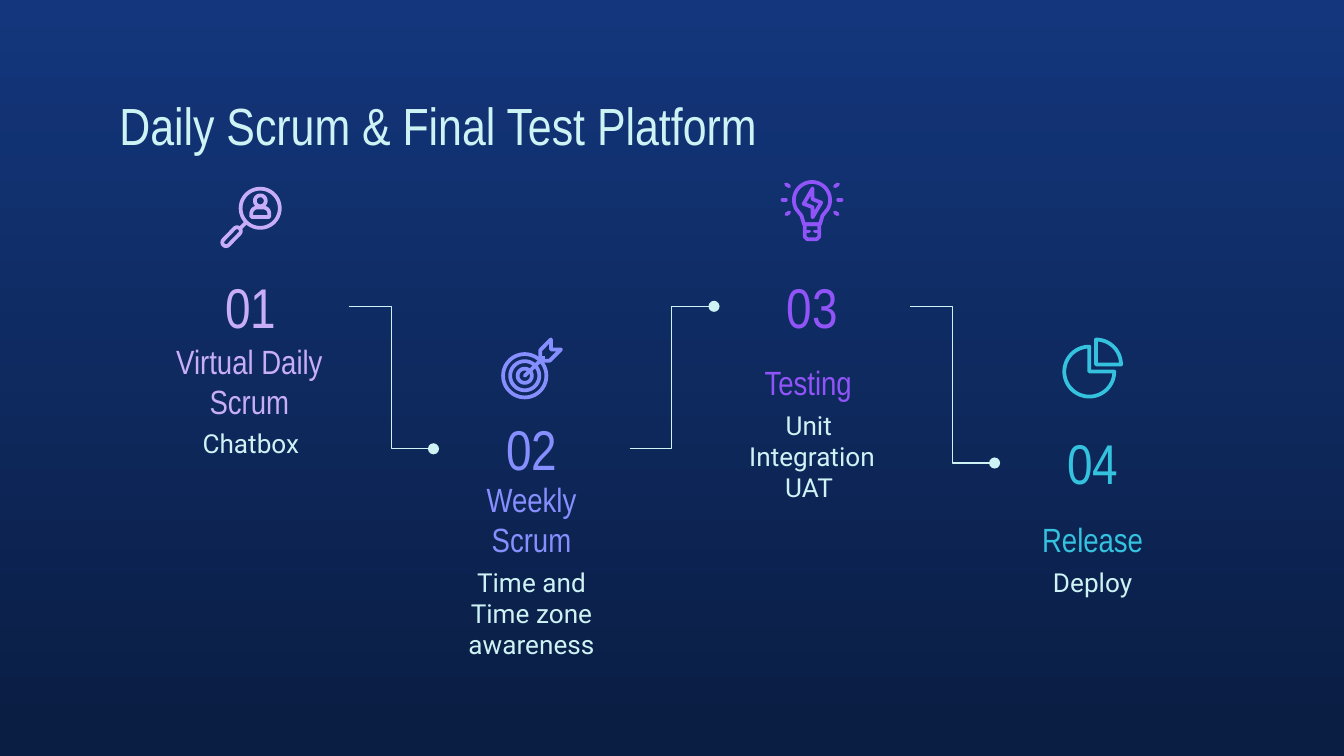
import itertools
import math
from dataclasses import dataclass

import pptx
import pptx.dml.color
import pptx.enum.shapes
import pptx.enum.text
import pptx.oxml
import pptx.oxml.ns
import pptx.util

Pt = pptx.util.Pt
Align = pptx.enum.text.PP_ALIGN
Anchor = pptx.enum.text.MSO_ANCHOR
Point = tuple[float, float]

PALE = "CEF3F5"
DISPLAY, BODY = "Arial Narrow", "Roboto"
COLUMN_LEFT, COLUMN_STEP, COLUMN_WIDTH = 81.9, 150.3, 105.1
INSET = 7.2
ICON_STROKE = 2


@dataclass
class Stroke:
    points: list[Point]
    closed: bool = False


Outline = list[Stroke]


@dataclass
class Step:
    number: str
    heading: str
    details: list[str]
    color: str
    icon_y: float
    number_top: float
    heading_top: float
    icon: list[Outline]
    heading_shift: float = 0


def rgb(color: str) -> pptx.dml.color.RGBColor:
    return pptx.dml.color.RGBColor.from_string(color)


def drawing_element(tag: str, **attributes: str):
    element = pptx.oxml.parse_xml(f'<a:{tag} {pptx.oxml.ns.nsdecls("a")}/>')
    for key, value in attributes.items():
        element.set(key, value)
    return element


def arc(center: Point, radius: float, start: int, end: int) -> list[Point]:
    """Points along an arc; degrees run clockwise from the right."""
    count = max(2, round((end - start) / 6))
    angles = [math.radians(start + (end - start) * i / count) for i in range(count + 1)]
    return [(center[0] + radius * math.cos(a), center[1] + radius * math.sin(a)) for a in angles]


def ring(center: Point, radius: float) -> Stroke:
    return Stroke(arc(center, radius, 0, 360), True)


def sector(center: Point, radius: float, start: int, end: int) -> Stroke:
    return Stroke([center, *arc(center, radius, start, end)], True)


def with_mirror(points: list[Point]) -> list[Stroke]:
    return [Stroke(points), Stroke([(-x, y) for x, y in points])]


def draw_icon(slide, icon: list[Outline], x: float, y: float, color: str) -> None:
    group = slide.shapes.add_group_shape()
    for outline in icon:
        builder = None
        for stroke in outline:
            first, *rest = [(Pt(x + dx), Pt(y + dy)) for dx, dy in stroke.points]
            if builder is None:
                builder = group.shapes.build_freeform(*first, scale=1.0)
            else:
                builder.move_to(*first)
            builder.add_line_segments(rest, close=stroke.closed)
        part = builder.convert_to_shape()
        part.shadow.inherit = False
        part.fill.background()
        part.line.color.rgb = rgb(color)
        part.line.width = Pt(ICON_STROKE)
        line = part.line._get_or_add_ln()
        line.set("cap", "rnd")
        line.append(drawing_element("round"))


def write_text(box, lines: list[str], font: str, size: float, color: str,
               align: Align = Align.CENTER, anchor: Anchor = Anchor.TOP) -> None:
    frame = box.text_frame
    frame.word_wrap = True
    frame.auto_size = pptx.enum.text.MSO_AUTO_SIZE.NONE
    frame.vertical_anchor = anchor
    frame.margin_left = frame.margin_right = frame.margin_top = frame.margin_bottom = Pt(INSET)
    for index, line in enumerate(lines):
        paragraph = frame.add_paragraph() if index else frame.paragraphs[0]
        paragraph.alignment = align
        run = paragraph.add_run()
        run.text = line
        run.font.name = font
        run.font.size = Pt(size)
        run.font.color.rgb = rgb(color)


def draw_step(slide, step: Step, left: float):
    """Draws one step and returns its number box."""
    draw_icon(slide, step.icon, left + COLUMN_WIDTH / 2, step.icon_y, step.color)

    def column_box(top: float, height: float, shift: float = 0):
        return slide.shapes.add_textbox(Pt(left + shift), Pt(top), Pt(COLUMN_WIDTH), Pt(height))

    write_text(column_box(step.heading_top, 37.4, step.heading_shift), [step.heading],
               DISPLAY, 18, step.color, anchor=Anchor.BOTTOM)
    write_text(column_box(step.heading_top + 26.6, 64), step.details, BODY, 14, PALE)
    number = column_box(step.number_top, 49.7)
    write_text(number, [step.number], DISPLAY, 30, step.color, anchor=Anchor.BOTTOM)
    return number


def join_numbers(slide, earlier, later) -> None:
    link = slide.shapes.add_connector(
        pptx.enum.shapes.MSO_CONNECTOR.ELBOW,
        earlier.left + earlier.width, earlier.top + earlier.height // 2,
        later.left, later.top + later.height // 2)
    link.begin_connect(earlier, 3)
    link.end_connect(later, 1)
    link.line.color.rgb = rgb(PALE)
    link.line.width = Pt(0.75)
    link.line._get_or_add_ln().append(drawing_element("tailEnd", type="oval"))
    link._element.spPr.append(drawing_element("effectLst"))


# Icons, in points around their own centre
MAGNIFIER = [
    [ring((5, -5), 10.5),
     Stroke([(-2.6, 2.7), (-5.6, 5.6)]),
     Stroke(arc((-7.4, 7.2), 2, -135, 45) + arc((-13.3, 13.3), 2, 45, 225), True)],
    [ring((5, -9), 2.9),
     Stroke([(0.2, -0.4), *arc((3.4, -2.2), 3.2, 180, 270),
             *arc((6.6, -2.2), 3.2, 270, 360), (9.8, -0.4)], True)],
]
TARGET = [[
    *(ring((-3.6, 4), radius) for radius in (11.6, 7.8, 3.8)),
    Stroke([(-3.6, 4), (6.5, -5.8)]),
    Stroke([(4.7, -9.7), (10.4, -15.5), (10.4, -10.1), (15.8, -10.1), (9.7, -4), (4.7, -4)], True),
]]
RAYS = [[(14, -5.8), (15.8, -5.8)], [(12.2, -13), (14, -14.1)], [(12.2, 1), (13.8, 2)]]
BULB = [
    [Stroke([*arc((0, -5.6), 9.7, 150, 390), (5.6, 2.8), (4.3, 7.4),
             (-4.3, 7.4), (-5.6, 2.8)], True),
     Stroke([(-3.9, 7.4), (-3.9, 14), (-2.5, 15.4), (2.5, 15.4), (3.9, 14), (3.9, 7.4)], True),
     *with_mirror([(1.6, 11.2), (2.9, 11.2)])],
    *([stroke] for ray in RAYS for stroke in with_mirror(ray)),
    [Stroke([(0.3, -11.9), (-4.5, -3.6), (0.3, -1.8), (0.3, 3.6), (4.9, -4.3), (0.3, -6.1)], True)],
]
PIE = [[sector((-1.8, 1.8), 13.4, 0, 270)], [sector((1.8, -2), 13.4, 270, 360)]]

STEPS = [
    Step("01", "Virtual Daily Scrum", ["Chatbox"], "C8AEF8", 116.6, 139.3, 195.4, MAGNIFIER, -0.8),
    Step("02", "Weekly Scrum", ["Time and Time zone awareness"], "878FFF",
         197.3, 215.6, 269.4, TARGET),
    Step("03", "Testing ", ["Unit ", "Integration", "UAT "], "9154F8", 112.8, 139.3, 185.3, BULB),
    Step("04", "Release", ["Deploy"], "35C2DF", 197.3, 223.2, 269.4, PIE),
]


def main() -> None:
    deck = pptx.Presentation()
    deck.slide_width, deck.slide_height = Pt(720), Pt(405)
    slide = deck.slides.add_slide(deck.slide_layouts[5])

    # Background
    backdrop = slide.background.fill
    backdrop.gradient()
    backdrop.gradient_angle = 270
    for stop, color, position in zip(backdrop.gradient_stops, ("13367C", "0A1D42"), (0, 1)):
        stop.color.rgb = rgb(color)
        stop.position = position

    # Title
    title = slide.shapes.title
    title.left, title.top, title.width, title.height = Pt(56.8), Pt(42.5), Pt(607), Pt(45.4)
    write_text(title, ["Daily Scrum & Final Test Platform"], DISPLAY, 28, PALE, Align.LEFT)

    # Steps and the links between their numbers
    numbers = [draw_step(slide, step, COLUMN_LEFT + index * COLUMN_STEP)
               for index, step in enumerate(STEPS)]
    for earlier, later in itertools.pairwise(numbers):
        join_numbers(slide, earlier, later)

    deck.save("out.pptx")


if __name__ == "__main__":
    main()
